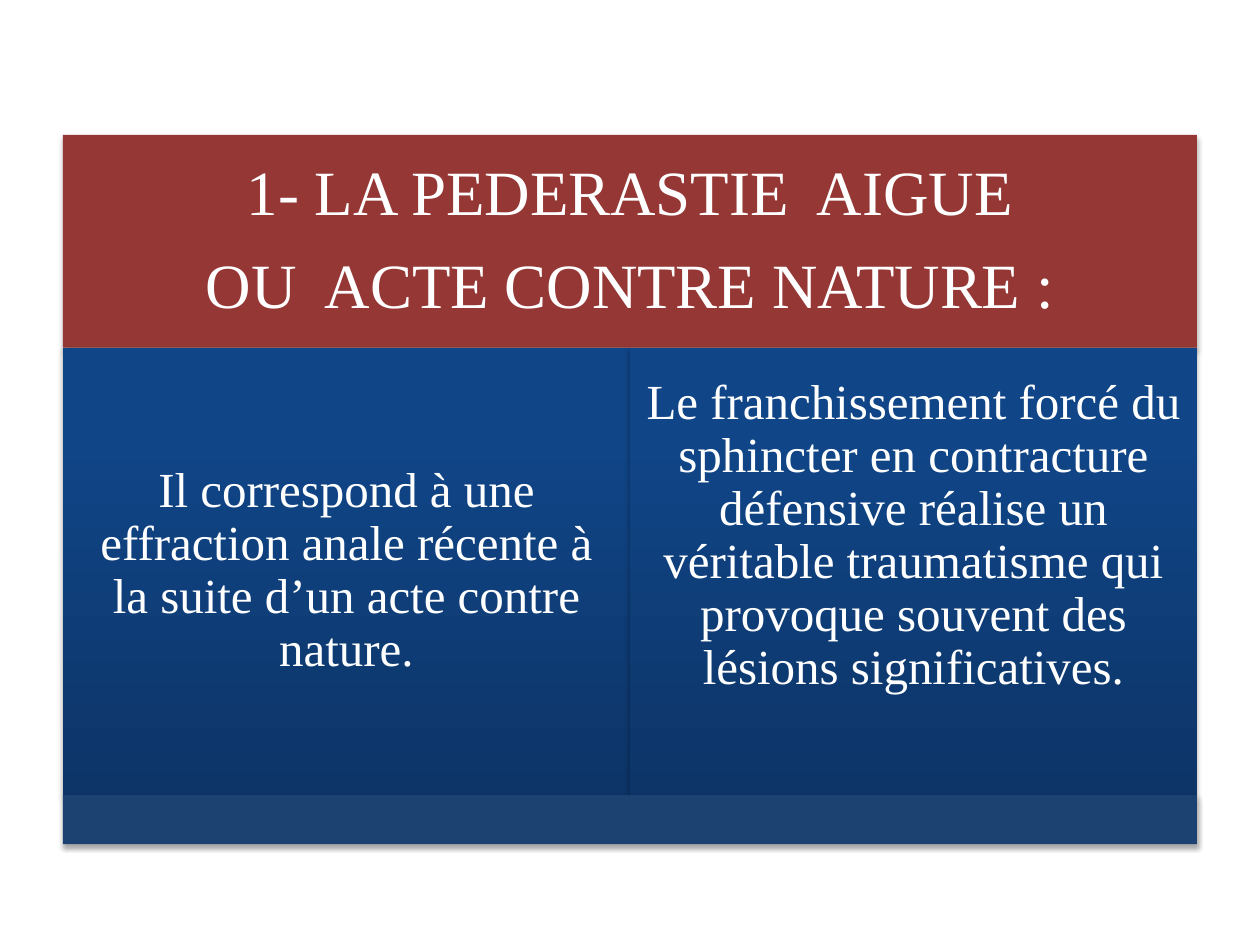
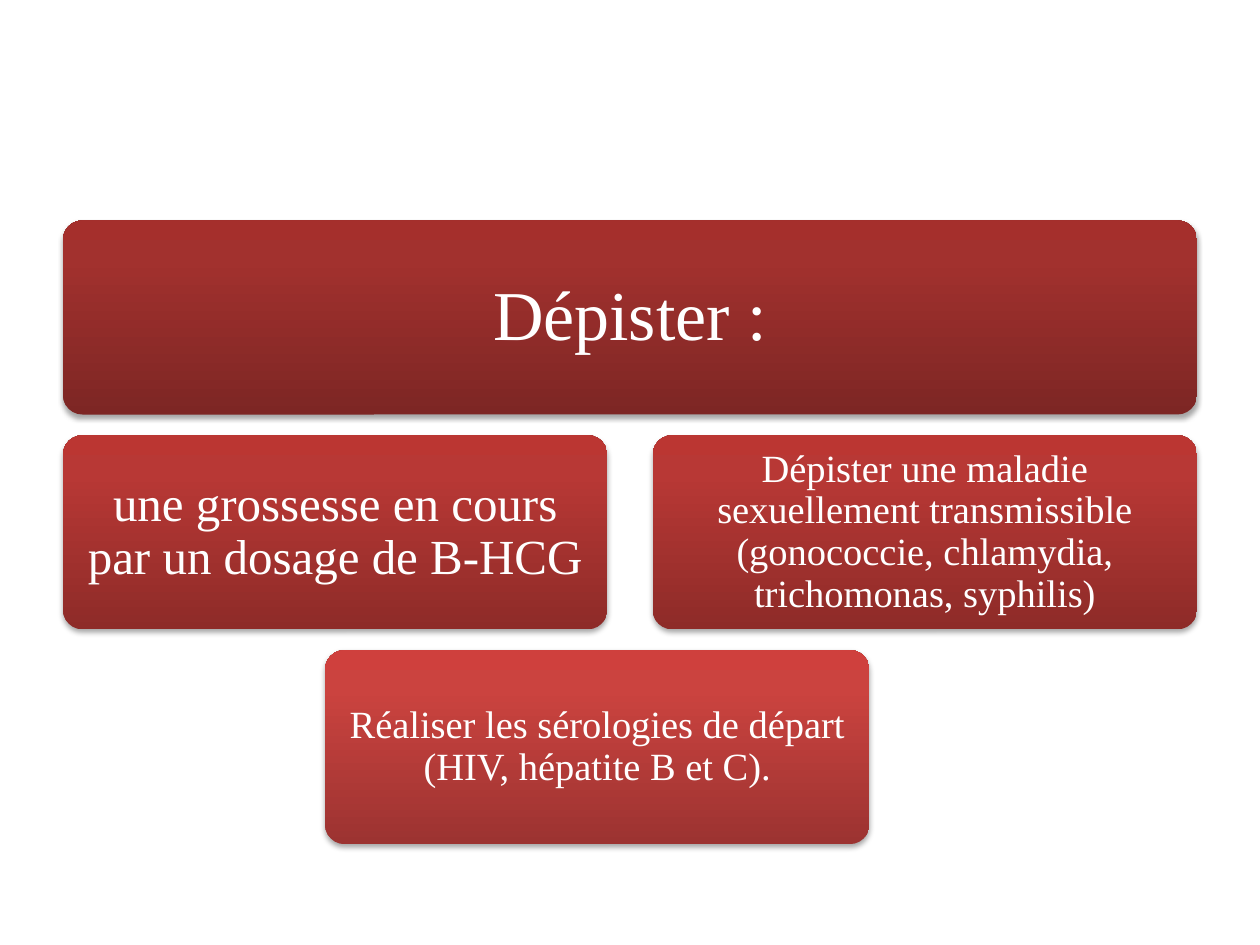
from lxml.etree import SubElement as Sub
from pptx import Presentation
from pptx.dml.color import RGBColor as RGB
from pptx.enum.shapes import MSO_SHAPE as Kind
from pptx.enum.text import MSO_ANCHOR as Anchor, PP_ALIGN as Align
from pptx.oxml.ns import qn
from pptx.util import Inches, Pt

# Shared look
FONT, WHITE = "Times New Roman", "FFFFFF"
WINE, NAVY = "953735", "1C4271"
BLUE = ("0D3568", "104587", "0E458A")
REDS = (
    ("7D2624", "A2312E", "A52F2C"),
    ("8E2B28", "B83835", "BB3632"),
    ("9C3331", "CB433F", "CF403D"),
)
STOPS = (0, 80, 100)
LEFT, WIDE = 0.5, 9


def color(code):
    return RGB.from_string(code)


def shade(shape, codes):
    """Fill from the bottom up with three colours."""
    shape.fill.gradient()
    shape.fill.gradient_angle = 90
    stops = shape._element.spPr.find(".//" + qn("a:gsLst"))
    for old in list(stops):
        stops.remove(old)
    for spot, code in zip(STOPS, codes):
        stop = Sub(stops, qn("a:gs"), pos=str(spot * 1000))
        Sub(stop, qn("a:srgbClr"), val=code)


def drop(shape):
    """Give a soft shadow below the shape."""
    shape.shadow.inherit = False
    effects = shape._element.spPr.find(qn("a:effectLst"))
    outer = Sub(effects, qn("a:outerShdw"), blurRad=str(Pt(3.1)),
                dist=str(Pt(1.8)), dir="5400000", rotWithShape="0")
    black = Sub(outer, qn("a:srgbClr"), val="000000")
    Sub(black, qn("a:alpha"), val="35000")


def write(shape, lines, size, inset, foot):
    frame = shape.text_frame
    look = {"word_wrap": True, "vertical_anchor": Anchor.MIDDLE,
            "margin_bottom": Inches(inset + foot)}
    look |= {f"margin_{side}": Inches(inset) for side in ("left", "top", "right")}
    for name, value in look.items():
        setattr(frame, name, value)
    frame.text = "\n".join(lines)
    for para in frame.paragraphs:
        para.alignment = Align.CENTER
        para.line_spacing = 0.9
        para.space_after = Pt(size * 0.39)
        for name, value in {"name": FONT, "size": Pt(size)}.items():
            setattr(para.font, name, value)
        para.font.color.rgb = color(WHITE)


def panel(slide, box, fill, lines=(), size=28, inset=0.12, foot=0, kind=Kind.RECTANGLE):
    shape = slide.shapes.add_shape(kind, *map(Inches, box))
    if kind == Kind.ROUNDED_RECTANGLE:
        shape.adjustments[0] = 0.1
    if isinstance(fill, str):
        shape.fill.solid()
        shape.fill.fore_color.rgb = color(fill)
    else:
        shade(shape, fill)
    shape.line.fill.background()
    drop(shape)
    if lines:
        write(shape, lines, size, inset, foot)


def columns(slide, box, title, cells):
    """Title band, equal columns, then a base band."""
    left, top, wide, high = box
    head, base = 1.69, 0.39
    body = high - head - base
    panel(slide, (left, top, wide, head), WINE, title, 36, 0.15)
    step = wide / len(cells)
    for col, (text, foot) in enumerate(cells):
        panel(slide, (left + col * step, top + head, step, body), BLUE, [text], foot=foot)
    panel(slide, (left, top + head + body, wide, base), NAVY)


def tree(slide, box, rows):
    """Rows of rounded cards, one red per row."""
    left, top, wide, high = box
    card, tall = 4.32, 1.54
    step = (high - tall) / (len(rows) - 1)
    for row, (cards, reds) in enumerate(zip(rows, REDS)):
        for shift, text, size, inset in cards:
            width = card if row else wide
            panel(slide, (left + shift, top + row * step, width, tall), reds,
                  [text], size, inset, kind=Kind.ROUNDED_RECTANGLE)


def main():
    deck = Presentation()
    deck.slide_width, deck.slide_height = Inches(10), Inches(7.5)
    blank = deck.slide_layouts[6]

    # Definition
    columns(
        deck.slides.add_slide(blank), (LEFT, 1.07, WIDE, 5.63),
        ["1- LA PEDERASTIE  AIGUE", "OU  ACTE CONTRE NATURE :"],
        [("Il correspond à une effraction anale récente à la suite "
          "d’un acte contre nature.", 0),
         ("Le franchissement forcé du sphincter en contracture défensive "
          "réalise un véritable traumatisme qui provoque souvent des "
          "lésions significatives.", 0.56)])

    # Screening
    tree(
        deck.slides.add_slide(blank), (LEFT, 1.75, WIDE, 4.95),
        [[(0, "Dépister :", 40, 0.17)],
         [(0, "une grossesse en cours par un dosage de B-HCG", 28, 0.12),
          (4.68, "Dépister une maladie sexuellement transmissible "
           "(gonococcie, chlamydia, trichomonas, syphilis)", 22, 0.09)],
         [(2.08, "Réaliser les sérologies de départ (HIV, hépatite B et C).",
           22, 0.09)]])

    deck.save("out.pptx")


if __name__ == "__main__":
    main()
